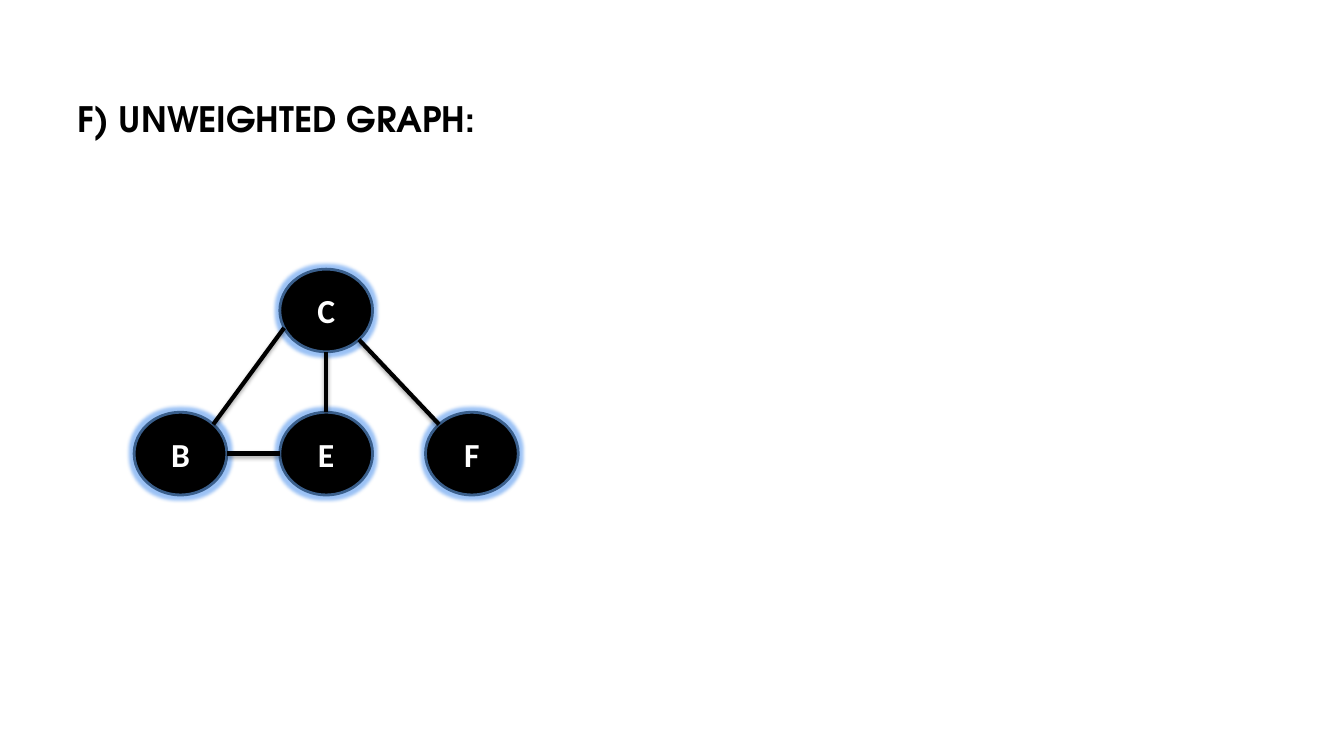
from math import cos, radians, sin

from lxml.etree import SubElement
from pptx import Presentation
from pptx.dml.color import RGBColor
from pptx.enum.shapes import MSO_CONNECTOR, MSO_SHAPE
from pptx.enum.text import MSO_ANCHOR, PP_ALIGN
from pptx.oxml.ns import qn
from pptx.util import Inches, Pt

BLACK = RGBColor(0x00, 0x00, 0x00)
WHITE = RGBColor(0xFF, 0xFF, 0xFF)
NODE_BORDER = RGBColor(0x3A, 0x5F, 0x8C)
NODE_GLOW = RGBColor(0x5B, 0x9B, 0xF0)

SLIDE_WIDTH, SLIDE_HEIGHT = 13.33, 7.5
NODE_WIDTH, NODE_HEIGHT = 0.92, 0.82
COLUMN_STEP, ROW_STEP = 1.445, 1.42

NODES = {"B": (0, 1), "E": (1, 1), "F": (2, 1), "C": (1, 0)}
EDGES = [
    ("C", 45, "F", 225),
    ("B", 315, "C", 155),
    ("C", 90, "E", 270),
    ("B", 0, "E", 180),
]


def add_run(paragraph, text, font_name, size, color):
    run = paragraph.add_run()
    run.text = text
    run.font.name = font_name
    run.font.size = Pt(size)
    run.font.bold = True
    run.font.color.rgb = color


def add_effect(effects, tag, color, opacity, **attributes):
    effect = SubElement(effects, qn(tag), attributes)
    color_element = SubElement(effect, qn("a:srgbClr"), val=str(color))
    SubElement(color_element, qn("a:alpha"), val=str(opacity * 1000))


def add_heading(slide, left, top, width, height):
    box = slide.shapes.add_textbox(
        Inches(left), Inches(top), Inches(width), Inches(height)
    )
    box.text_frame.word_wrap = True
    paragraph = box.text_frame.paragraphs[0]
    properties = paragraph._p.get_or_add_pPr()
    properties.set("marL", str(Inches(0.38)))
    properties.set("indent", str(Inches(-0.38)))
    add_run(paragraph, "F) UNWEIGHTED GRAPH:", "TeX Gyre Adventor", 25, BLACK)


def add_node(slide, name, left, top):
    node = slide.shapes.add_shape(
        MSO_SHAPE.OVAL,
        Inches(left), Inches(top), Inches(NODE_WIDTH), Inches(NODE_HEIGHT),
    )
    node.fill.solid()
    node.fill.fore_color.rgb = BLACK
    node.line.color.rgb = NODE_BORDER
    node.line.width = Pt(2)
    node.shadow.inherit = False
    effects = node._element.spPr.find(qn("a:effectLst"))
    add_effect(effects, "a:glow", NODE_GLOW, 60, rad=str(Pt(5)))
    frame = node.text_frame
    frame.vertical_anchor = MSO_ANCHOR.MIDDLE
    frame.margin_left = frame.margin_right = Inches(0.13)
    frame.margin_top = frame.margin_bottom = Inches(0.07)
    paragraph = frame.paragraphs[0]
    paragraph.alignment = PP_ALIGN.CENTER
    add_run(paragraph, name, "Calibri", 24, WHITE)


def rim_point(corner, degrees):
    left, top = corner
    angle = radians(degrees)
    return (
        Inches(left + NODE_WIDTH / 2 * (1 + cos(angle))),
        Inches(top + NODE_HEIGHT / 2 * (1 + sin(angle))),
    )


def add_edge(slide, start, end):
    edge = slide.shapes.add_connector(MSO_CONNECTOR.STRAIGHT, *start, *end)
    edge.line.color.rgb = BLACK
    edge.line.width = Pt(3)
    effects = SubElement(edge._element.spPr, qn("a:effectLst"))
    add_effect(
        effects, "a:outerShdw", BLACK, 35,
        blurRad=str(Pt(3.1)), dist=str(Pt(1.8)), dir="5400000", rotWithShape="0",
    )


def add_graph(slide, left, top):
    corners = {
        name: (left + column * COLUMN_STEP, top + row * ROW_STEP)
        for name, (column, row) in NODES.items()
    }
    for name, corner in corners.items():
        add_node(slide, name, *corner)
    for source, source_angle, target, target_angle in EDGES:
        add_edge(
            slide,
            rim_point(corners[source], source_angle),
            rim_point(corners[target], target_angle),
        )


def main():
    presentation = Presentation()
    presentation.slide_width = Inches(SLIDE_WIDTH)
    presentation.slide_height = Inches(SLIDE_HEIGHT)
    slide = presentation.slides.add_slide(presentation.slide_layouts[6])
    slide.background.fill.solid()
    slide.background.fill.fore_color.rgb = WHITE
    add_heading(slide, 0.67, 0.92, 12, 5.7)
    add_graph(slide, 1.33, 2.67)
    presentation.save("out.pptx")


if __name__ == "__main__":
    main()
